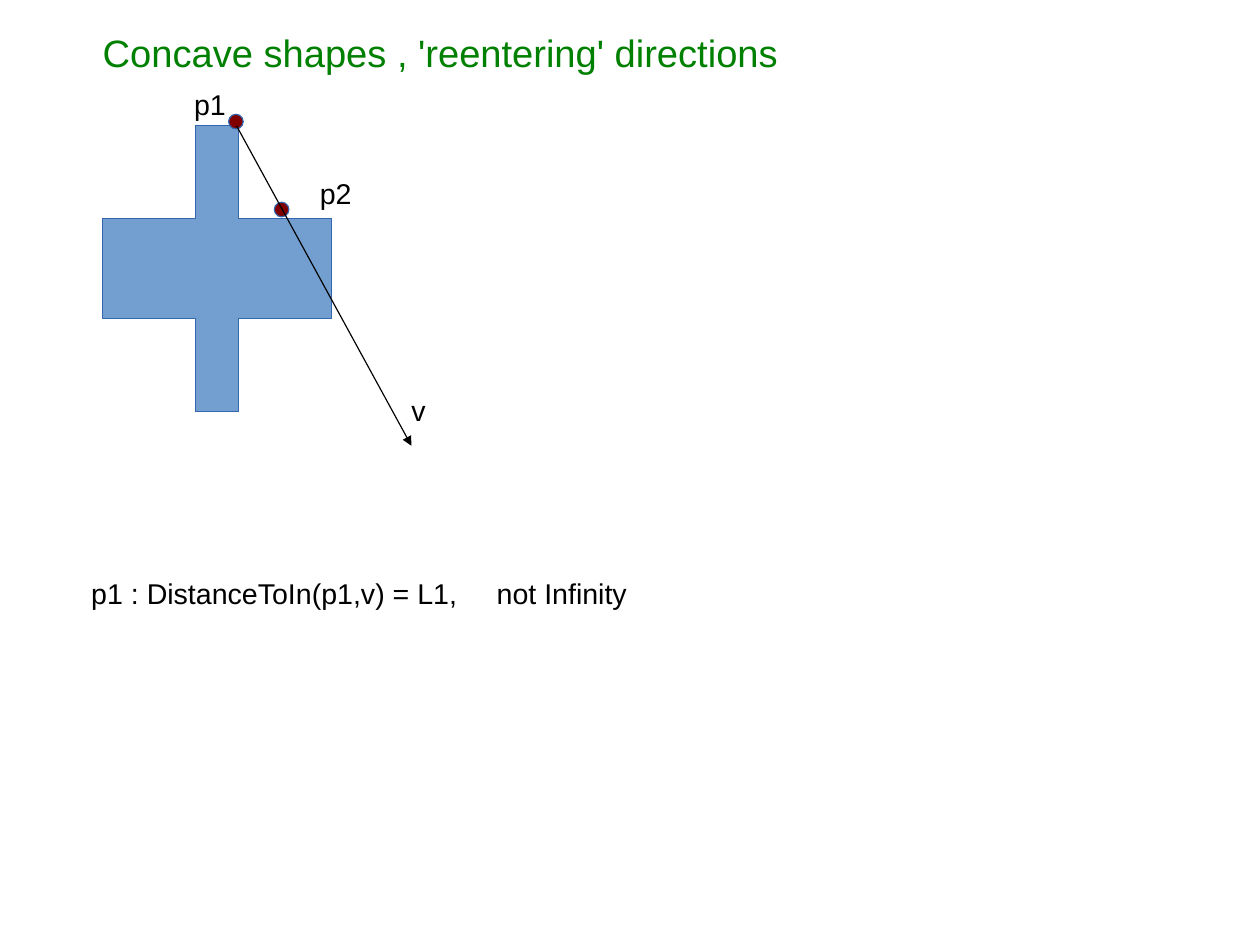
from dataclasses import dataclass

from lxml import etree
from pptx import Presentation
from pptx.dml.color import RGBColor
from pptx.enum import shapes, text
from pptx.oxml import ns
from pptx.util import Pt

BLACK, GREEN, MAROON = "000000", "008000", "800000"
BLUE, OUTLINE = "729FCF", "3465AF"
LINE_WIDTH = 0.75
DOT_SIZE = 9.2
FRAME_FORMAT = {
    "margin_left": Pt(7.1),
    "margin_top": Pt(4.7),
    "margin_right": Pt(7.1),
    "margin_bottom": Pt(3.6),
    "word_wrap": True,
    "auto_size": text.MSO_AUTO_SIZE.NONE,
    "vertical_anchor": text.MSO_ANCHOR.TOP,
}


@dataclass
class Label:
    words: str
    left: float
    top: float
    width: float
    height: float = 27.4
    size: float = 18
    color: str = BLACK
    tab_stop: float = 0


@dataclass
class Solid:
    kind: shapes.MSO_SHAPE
    left: float
    top: float
    width: float
    height: float
    fill: str


LABELS = [
    Label("Concave shapes , 'reentering' directions", 57.6, 16.6, 442, 33.8, 24, GREEN),
    Label("p1 : DistanceToIn(p1,v) = L1,\tnot Infinity", 50.4, 360, 360, 148.3, tab_stop=255.4),
    Label("p1", 115.2, 51.8, 36),
    Label("p2", 194.4, 108, 36),
    Label("v", 252, 244.8, 24),
]
CROSS = Solid(shapes.MSO_SHAPE.CROSS, 64.8, 79.2, 144, 180, BLUE)
POINTS = [
    Solid(shapes.MSO_SHAPE.OVAL, left, top, DOT_SIZE, DOT_SIZE, MAROON)
    for left, top in [(144, 72), (172.8, 127.4)]
]


def rgb(color: str) -> RGBColor:
    return RGBColor.from_string(color)


def add_label(page, label: Label) -> None:
    box = page.shapes.add_textbox(
        Pt(label.left), Pt(label.top), Pt(label.width), Pt(label.height)
    )
    for name, value in FRAME_FORMAT.items():
        setattr(box.text_frame, name, value)
    para = box.text_frame.paragraphs[0]
    para.line_spacing = 0.93
    if label.tab_stop:
        stops = etree.SubElement(para._p.get_or_add_pPr(), ns.qn("a:tabLst"))
        etree.SubElement(stops, ns.qn("a:tab"), pos=str(Pt(label.tab_stop)), algn="l")
    span = para.add_run()
    span.text = label.words
    span.font.color.rgb = rgb(label.color)
    for name, value in {"name": "Arial", "size": Pt(label.size)}.items():
        setattr(span.font, name, value)


def add_solid(page, solid: Solid):
    shape = page.shapes.add_shape(
        solid.kind, Pt(solid.left), Pt(solid.top), Pt(solid.width), Pt(solid.height)
    )
    shape.shadow.inherit = False
    shape.fill.solid()
    shape.fill.fore_color.rgb = rgb(solid.fill)
    shape.line.color.rgb = rgb(OUTLINE)
    shape.line.width = Pt(LINE_WIDTH)
    return shape


def add_arrow(page, start: tuple[float, float], end: tuple[float, float]) -> None:
    arrow = page.shapes.add_connector(
        shapes.MSO_CONNECTOR.STRAIGHT, *(Pt(length) for length in start + end)
    )
    arrow.line.color.rgb = rgb(BLACK)
    arrow.line.width = Pt(LINE_WIDTH)
    etree.SubElement(arrow.line._get_or_add_ln(), ns.qn("a:tailEnd"), type="triangle")
    etree.SubElement(arrow._element.spPr, ns.qn("a:effectLst"))


def main() -> None:
    deck = Presentation()
    deck.slide_width, deck.slide_height = Pt(793.75), Pt(595.25)
    page = deck.slides.add_slide(deck.slide_layouts[6])

    cross = add_solid(page, CROSS)
    cross.adjustments[0] = 0.405
    for point in POINTS:
        add_solid(page, point)
    add_arrow(page, (149, 79.2), (259.2, 280.8))
    for label in LABELS:
        add_label(page, label)

    deck.save("out.pptx")


if __name__ == "__main__":
    main()
